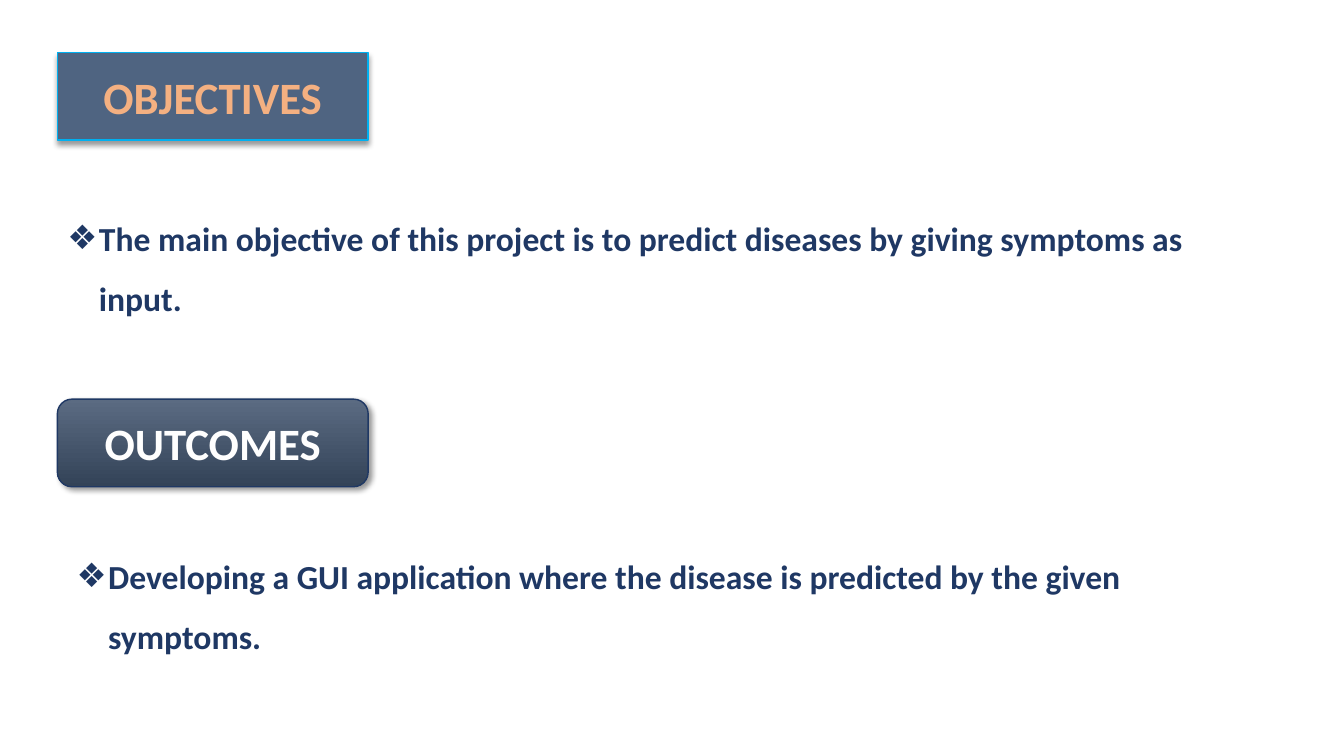
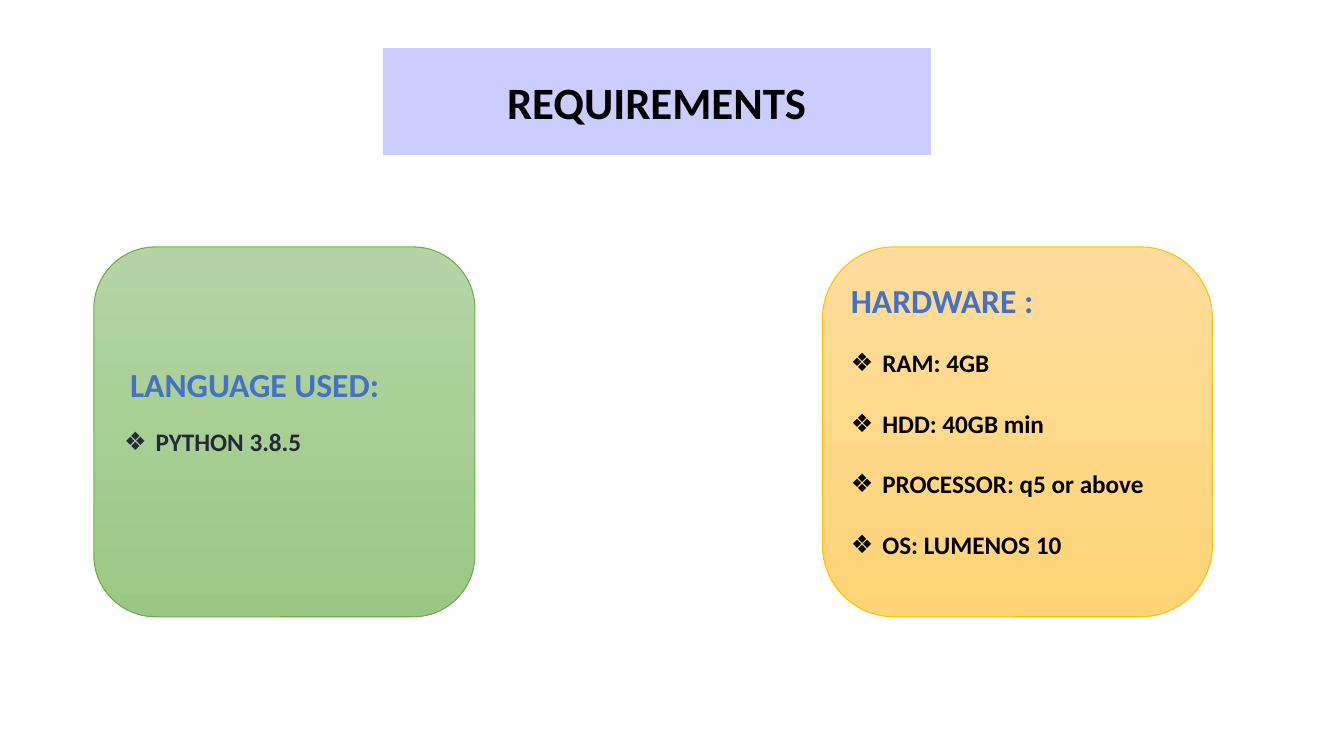
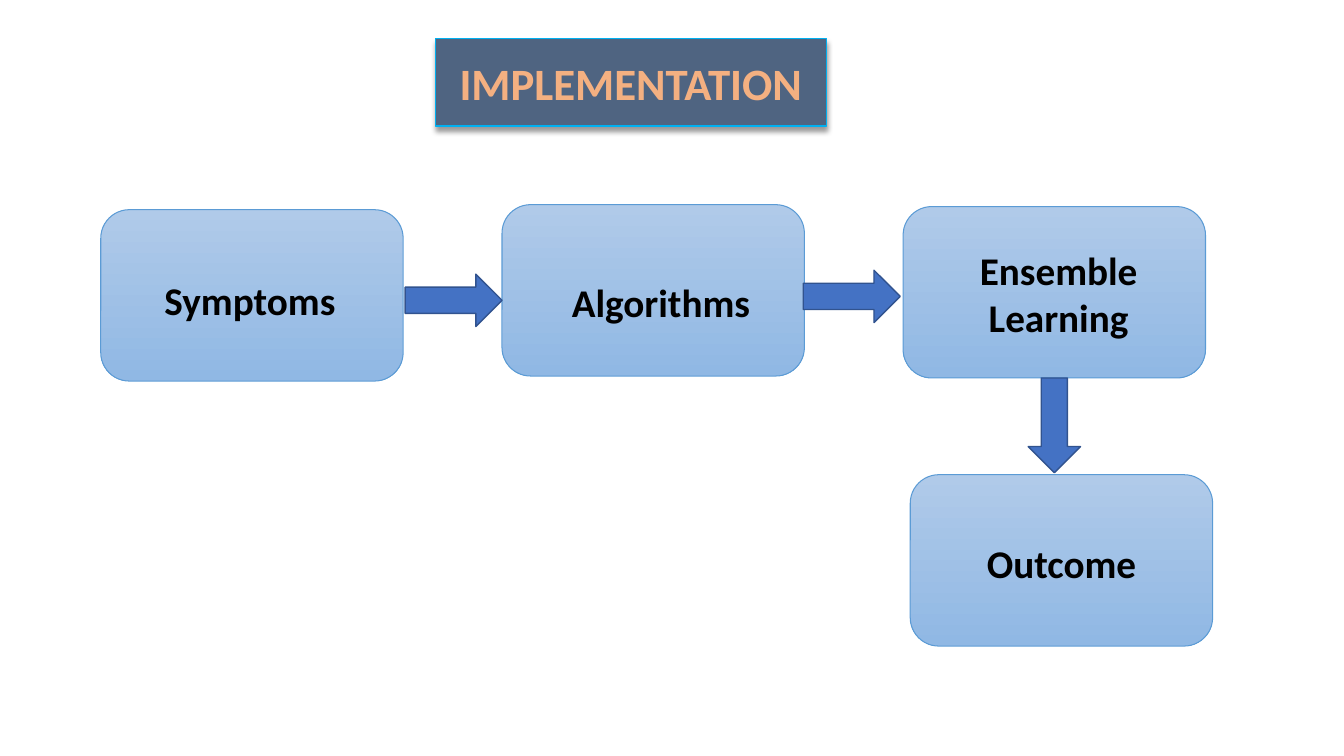
from lxml.etree import SubElement
from pptx import Presentation
from pptx.dml.color import RGBColor
from pptx.enum.shapes import MSO_SHAPE as Preset
from pptx.enum.text import MSO_ANCHOR as Anchor, MSO_AUTO_SIZE as Fit, PP_ALIGN as Align
from pptx.oxml import parse_xml
from pptx.oxml.ns import nsdecls, qn
from pptx.util import Pt

# Shared look
FONT = "Calibri"
BLACK = RGBColor(0x00, 0x00, 0x00)
OFF_WHITE = RGBColor(0xFE, 0xFE, 0xFE)
NAVY = RGBColor(0x1F, 0x38, 0x64)
CHARCOAL = RGBColor(0x22, 0x2A, 0x35)
BLUE = RGBColor(0x44, 0x72, 0xC4)
ARROW_EDGE = RGBColor(0x31, 0x53, 0x8F)
SLATE = RGBColor(0x4F, 0x64, 0x81)
CYAN = RGBColor(0x00, 0xB0, 0xF0)
PEACH = RGBColor(0xF4, 0xB0, 0x81)
LAVENDER = RGBColor(0xCC, 0xCC, 0xFF)
GREEN = RGBColor(0x70, 0xAD, 0x47)
GOLD = RGBColor(0xFF, 0xC0, 0x00)
SKY = RGBColor(0x5B, 0x9B, 0xD5)

# Gradients, top to bottom
SLATE_FADE = (RGBColor(0x5B, 0x6B, 0x82), RGBColor(0x33, 0x43, 0x58))
GREEN_FADE = (RGBColor(0xB4, 0xD4, 0xA5), RGBColor(0x9B, 0xC9, 0x85))
GOLD_FADE = (RGBColor(0xFF, 0xDC, 0x9B), RGBColor(0xFF, 0xD4, 0x78))
SKY_FADE = (RGBColor(0xB0, 0xCA, 0xE9), RGBColor(0x90, 0xB8, 0xE4))

BANNER_FORMAT = dict(size=32, align=Align.CENTER, anchor=Anchor.MIDDLE)
COMPARISON, TITLE_ONLY = 4, 5


def paint(shape, fill, edge, width=0.75, preset=None, shadow_angle=None):
    """Fill and outline a shape; a pair of colours makes a vertical gradient."""
    properties = shape.element.spPr
    if preset:
        outline = parse_xml(f'<a:prstGeom {nsdecls("a")} prst="{preset}"><a:avLst/></a:prstGeom>')
        properties.find(qn("a:xfrm")).addnext(outline)
    if isinstance(fill, RGBColor):
        shape.fill.solid()
        shape.fill.fore_color.rgb = fill
    else:
        shape.fill.gradient()
        shape.fill.gradient_angle = 270
        for stop, colour in zip(shape.fill.gradient_stops, fill):
            stop.color.rgb = colour
    shape.line.color.rgb = edge
    shape.line.width = Pt(width)
    shape.shadow.inherit = False
    if shadow_angle is not None:
        properties.find(qn("a:effectLst")).append(parse_xml(
            f'<a:outerShdw {nsdecls("a")} blurRad="{Pt(4)}" dist="{Pt(3)}" '
            f'dir="{shadow_angle * 60000}" algn="ctr" rotWithShape="0">'
            '<a:srgbClr val="000000"><a:alpha val="40000"/></a:srgbClr></a:outerShdw>'))


def write(shape, *lines, at=None, size=24, colour=BLACK, align=Align.LEFT,
          anchor=Anchor.TOP, bullet=False, spacing=1.0, after=0, nudge=(0, 0)):
    """Put bold lines into a shape, moving it when a place is given."""
    if at:
        shape.left, shape.top, shape.width, shape.height = map(Pt, at)
    frame = shape.text_frame
    frame.word_wrap = True
    frame.auto_size = Fit.NONE
    frame.vertical_anchor = anchor
    frame.margin_left, frame.margin_right = Pt(7.2 + 2 * nudge[0]), Pt(7.2)
    frame.margin_top, frame.margin_bottom = Pt(3.6 + 2 * nudge[1]), Pt(3.6)
    frame.text = "\n".join(lines)
    for para in frame.paragraphs:
        para.alignment = align
        para.line_spacing = spacing
        para.space_before, para.space_after = Pt(0), Pt(after)
        font = para.runs[0].font
        font.name, font.size, font.bold = FONT, Pt(size), True
        font.color.rgb = colour
        layout = para._p.get_or_add_pPr()
        indent = Pt(22.5) if bullet else 0
        layout.set("marL", str(indent))
        layout.set("indent", str(-indent))
        if bullet:
            SubElement(SubElement(layout, qn("a:buClr")), qn("a:srgbClr"), val=str(colour))
            SubElement(layout, qn("a:buChar"), char="❖")
        else:
            SubElement(layout, qn("a:buNone"))


deck = Presentation()
deck.slide_width, deck.slide_height = Pt(960), Pt(540)

# Slide 1: objectives and outcomes
page = deck.slides.add_slide(deck.slide_layouts[COMPARISON])
title, outcomes, objective_list, spare, outcome_list = page.placeholders
spare.element.getparent().remove(spare.element)

write(title, "OBJECTIVES", at=(41, 37.4, 222, 62.6), colour=PEACH, **BANNER_FORMAT)
paint(title, SLATE, CYAN, 1, "flowChartAlternateProcess", 90)
write(outcomes, "OUTCOMES", at=(41, 285.1, 222, 62.6), colour=OFF_WHITE, **BANNER_FORMAT)
paint(outcomes, SLATE_FADE, NAVY, 1, "flowChartAlternateProcess", 45)

for box, place, sentence in (
    (objective_list, (41, 137.5, 857.5, 124),
     "The main objective of this project is to predict diseases by giving symptoms as input."),
    (outcome_list, (47.5, 378.7, 867, 90),
     "Developing a GUI application where the disease is predicted by the given symptoms."),
):
    write(box, sentence, at=place, colour=NAVY, bullet=True, spacing=1.5)

# Slide 2: requirements
page = deck.slides.add_slide(deck.slide_layouts[COMPARISON])
title, language, language_list, hardware, hardware_list = page.placeholders
write(title, "REQUIREMENTS", at=(273.6, 34.6, 391, 75.6), **BANNER_FORMAT)
paint(title, LAVENDER, LAVENDER, preset="flowChartAlternateProcess")

# Cards go behind the placeholders
for left, width, corner, fade, edge in (
    (67, 272.2, 0.167, GREEN_FADE, GREEN),
    (587.5, 278.6, 0.194, GOLD_FADE, GOLD),
):
    card = page.shapes.add_shape(Preset.ROUNDED_RECTANGLE, Pt(left), Pt(176.4), Pt(width), Pt(264.2))
    card.adjustments[0] = corner
    paint(card, fade, edge)
    title.element.addprevious(card.element)

write(language, "LANGUAGE USED:", at=(85.7, 256.3, 243.4, 36), colour=BLUE)
write(language_list, "PYTHON 3.8.5", at=(81.4, 301, 243.4, 51),
      size=18, colour=CHARCOAL, bullet=True)
write(hardware, "HARDWARE :", at=(600.5, 196.6, 236, 36), colour=BLUE)
write(hardware_list, "RAM: 4GB", "HDD: 40GB min", "PROCESSOR: q5 or above", "OS: LUMENOS 10",
      at=(600.5, 244.8, 244, 166), size=18, bullet=True, after=21.6)

# Slide 3: implementation flow
page = deck.slides.add_slide(deck.slide_layouts[TITLE_ONLY])
title = page.shapes.title
write(title, "IMPLEMENTATION", at=(311, 27.4, 279.4, 62.6), colour=PEACH, **BANNER_FORMAT)
paint(title, SLATE, CYAN, 1, "flowChartAlternateProcess", 90)

for step, left, top, nudge in (
    ("Symptoms", 72, 149.8, (-1.5, 3.5)),
    ("Algorithms", 358.6, 146.2, (5.5, 8)),
    ("Ensemble Learning", 645.1, 147.6, (3, 0.5)),
    ("Outcome", 650.2, 339.1, (0, 1.5)),
):
    box = page.shapes.add_shape(Preset.ROUNDED_RECTANGLE, Pt(left), Pt(top), Pt(216), Pt(122.4))
    paint(box, SKY_FADE, SKY)
    write(box, step, size=28, align=Align.CENTER, anchor=Anchor.MIDDLE, nudge=nudge)

for preset, *place in (
    (Preset.RIGHT_ARROW, 289.4, 195.8, 69.2, 37.4),
    (Preset.RIGHT_ARROW, 573.8, 193, 69.2, 37.4),
    (Preset.DOWN_ARROW, 734.4, 270, 37.4, 67.7),
):
    arrow = page.shapes.add_shape(preset, *map(Pt, place))
    paint(arrow, BLUE, ARROW_EDGE, 1)

deck.save("out.pptx")
